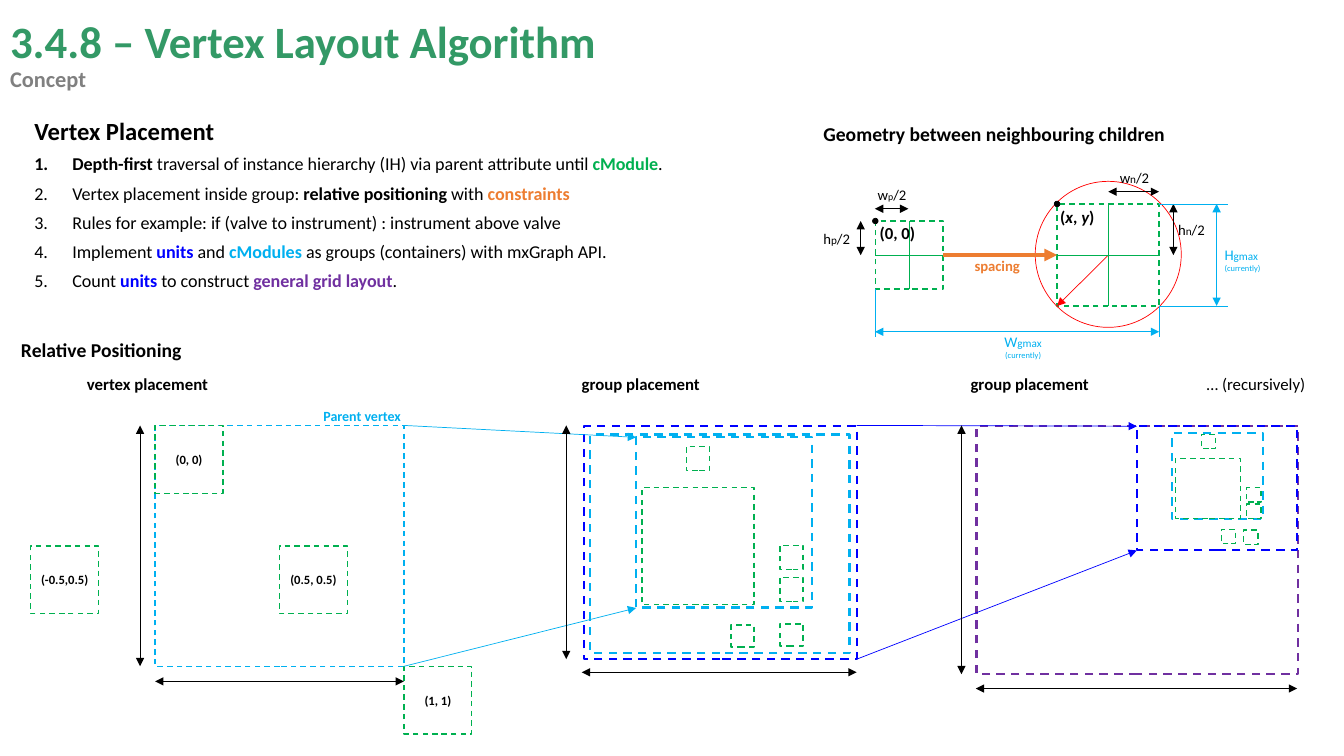
from pptx import Presentation
from pptx.dml.color import RGBColor
from pptx.enum.dml import MSO_LINE
from pptx.enum.shapes import MSO_CONNECTOR, MSO_SHAPE
from pptx.enum.text import MSO_ANCHOR, MSO_AUTO_SIZE, PP_ALIGN
from pptx.oxml.xmlchemy import OxmlElement
from pptx.util import Cm, Pt

COLOURS = {
    "black": "000000", "title": "339966", "grey": "808080", "green": "00B050",
    "orange": "ED7D31", "blue": "0000FF", "cyan": "00B0F0", "purple": "7030A0", "red": "FF0000",
}
RGB = {name: RGBColor.from_string(value) for name, value in COLOURS.items()}


def write(paragraph, runs, **base):
    """Add runs of (text, changes), each formatted as base plus its changes."""
    for text, changes in runs:
        run = paragraph.add_run()
        run.text = text
        for name, value in {"name": "Calibri", "color": "black", **base, **changes}.items():
            if name == "color":
                run.font.color.rgb = RGB[value]
            else:
                setattr(run.font, name, Pt(value) if name == "size" else value)


def outline(shapes, kind, box, colour, weight, dash=MSO_LINE.DASH):
    shape = shapes.add_shape(kind, *map(Cm, box))
    shape.shadow.inherit = False
    shape.fill.background()
    shape.line.color.rgb = RGB[colour]
    shape.line.width = Pt(weight)
    shape.line.dash_style = dash
    return shape


prs = Presentation()
prs.slide_width, prs.slide_height = Cm(33.87), Cm(19.05)
slide = prs.slides.add_slide(prs.slide_layouts[1])
shapes = slide.shapes
title, placement = shapes.title, slide.placeholders[1]
for holder, box, anchor in (
    (title, (0, 0.05, 33.87, 2.74), MSO_ANCHOR.MIDDLE),
    (placement, (0.61, 3, 17.73, 4.65), MSO_ANCHOR.TOP),
):
    holder.left, holder.top, holder.width, holder.height = map(Cm, box)
    holder.text_frame.auto_size = MSO_AUTO_SIZE.NONE
    holder.text_frame.vertical_anchor = anchor

# Title and list
heading = title.text_frame.paragraphs[0]
heading.alignment, heading.line_spacing = PP_ALIGN.LEFT, 0.9
write(heading, [("3.4.8 – Vertex Layout Algorithm", {})], size=32, bold=True, color="title")
heading.add_line_break()
write(heading, [("Concept", {})], size=16, bold=True, color="grey")

BOLD = {"bold": True}
UNITS = ("units", {"bold": True, "color": "blue"})
steps = [
    [("Vertex Placement", {"size": 17.6, "bold": True})],
    [("Depth-first", BOLD), (" traversal of instance hierarchy (IH) via parent attribute until ", {}),
     ("cModule", {"bold": True, "color": "green"}), (".", {})],
    [("Vertex placement inside group: ", {}), ("relative positioning ", BOLD), ("with ", {}),
     ("constraints", {"bold": True, "color": "orange"})],
    [("Rules for example: if (valve to instrument) : instrument above valve", {})],
    [("Implement ", {}), UNITS, (" and ", {}), ("cModules", {"bold": True, "color": "cyan"}),
     (" as groups (containers) with mxGraph API.", {})],
    [("Count ", {}), UNITS, (" to construct ", {}),
     ("general grid layout", {"bold": True, "color": "purple"}), (".", {})],
]
for number, runs in enumerate(steps):
    step = placement.text_frame.add_paragraph() if number else placement.text_frame.paragraphs[0]
    props = step._p.get_or_add_pPr()
    indent = Cm(0.96) if number else 0
    props.set("marL", str(indent))
    props.set("indent", str(-indent))
    bullet = OxmlElement("a:buAutoNum" if number else "a:buNone")
    if number:
        bullet.set("type", "arabicPeriod")
    props.append(bullet)
    step.alignment, step.line_spacing = PP_ALIGN.JUSTIFY, 0.7
    step.space_before = Pt(10 if number else 0)
    write(step, runs, size=12.9, bold=False)

# Section headings, with the column captions on tab stops
relative = shapes.add_textbox(Cm(0.28), Cm(8.46), Cm(33.58), Cm(2.03)).text_frame
relative.word_wrap = True
write(relative.paragraphs[0], [("Relative Positioning", {})], size=14, bold=True)
captions = relative.add_paragraph()
tabs = OxmlElement("a:tabLst")
for stop in (1.66, 14.13, 23.93, 29.88):
    tab = OxmlElement("a:tab")
    tab.set("pos", str(Cm(stop)))
    tab.set("algn", "l")
    tabs.append(tab)
captions._p.get_or_add_pPr().append(tabs)
captions.space_before = Pt(10)
write(captions, [("\tvertex placement\tgroup placement\tgroup placement", BOLD),
                 ("\t… (recursively)", {})], size=12)
for line in relative.paragraphs:
    line.line_spacing = 0.9

# Vertex placement: each vertex sits at a fraction of the parent's size
RECT, OVAL = MSO_SHAPE.RECTANGLE, MSO_SHAPE.OVAL
left, top, width, height = 3.91, 10.72, 6.27, 6.07
vertex_size = 1.71
outline(shapes, RECT, (left, top, width, height), "cyan", 1)
for label, x, y in (("(0, 0)", 0, 0), ("(-0.5,0.5)", -0.5, 0.5), ("(1, 1)", 1, 1), ("(0.5, 0.5)", 0.5, 0.5)):
    box = (left + x * width, top + y * height, vertex_size, vertex_size)
    frame = outline(shapes, RECT, box, "green", 1).text_frame
    frame.margin_left = frame.margin_right = 0
    frame.vertical_anchor = MSO_ANCHOR.MIDDLE
    frame.paragraphs[0].alignment = PP_ALIGN.CENTER
    write(frame.paragraphs[0], [(label, {})], size=9, bold=True)

# Group placement, then the same group nested one level up
containers = [
    (shapes, [("cyan", 16.03, 11.02, 4.44, 4.29), ("cyan", 14.88, 10.95, 6.53, 5.51),
              ("blue", 14.71, 10.74, 6.88, 5.87)],
     [(17.3, 11.25, 0.58, 0.61), (19.66, 14.55, 0.58, 0.61), (19.66, 13.74, 0.58, 0.61),
      (19.66, 15.72, 0.58, 0.56), (16.18, 12.29, 2.82, 2.95), (18.42, 15.75, 0.58, 0.56)]),
    (shapes.add_group_shape().shapes,
     [("purple", 24.61, 10.74, 8.1, 6.25), ("cyan", 29.54, 10.92, 2.29, 2.16),
      ("blue", 28.65, 10.74, 4.04, 3.12)],
     [(31.34, 13.36, 0.36, 0.36), (30.78, 13.34, 0.36, 0.36), (29.62, 11.56, 1.65, 1.5),
      (30.28, 10.95, 0.36, 0.36), (31.42, 12.7, 0.36, 0.36), (31.42, 12.29, 0.36, 0.36)]),
]
for parent, groups, vertices in containers:
    for colour, *box in groups:
        outline(parent, RECT, box, colour, 1.5)
    for box in vertices:
        outline(parent, RECT, box, "green", 1)

# Geometry between neighbours
previous = outline(shapes, RECT, (22.06, 5.57, 1.71, 1.71), "green", 1)
neighbour = outline(shapes, RECT, (26.64, 5.14, 2.57, 2.57), "green", 1)
outline(shapes, OVAL, (26.09, 4.57, 3.68, 3.68), "red", 0.5, MSO_LINE.SOLID)
for x, y in ((21.99, 5.5), (26.57, 5.07)):
    corner = outline(shapes, OVAL, (x, y, 0.14, 0.14), "black", 0.5, MSO_LINE.SOLID)
    corner.fill.solid()
    corner.fill.fore_color.rgb = RGB["black"]

# Lines: ends, colour, weight, arrowheads
BOTH, END = ("headEnd", "tailEnd"), ("tailEnd",)
dimensions = [
    (3.53, 10.72, 3.53, 16.79), (3.91, 17.17, 10.18, 17.17),
    (14.27, 10.72, 14.27, 16.61), (14.66, 16.94, 21.59, 16.94),
    (24.23, 10.72, 24.23, 16.99), (24.59, 17.35, 32.69, 17.35),
    (21.69, 5.57, 21.69, 6.43), (22.05, 5.26, 22.89, 5.26),
    (29.57, 5.14, 29.57, 6.43), (27.93, 4.83, 29.21, 4.83),
]
extensions = [
    (22.05, 7.28, 22.05, 8.48), (29.21, 7.71, 29.21, 8.48),
    (29.21, 7.71, 30.94, 7.71), (29.21, 5.14, 30.94, 5.14),
]
lines = [
    (10.18, 10.72, 16.03, 11.02, "cyan", 0.5, END),
    (10.18, 16.79, 16.03, 15.32, "cyan", 0.5, END),
    (21.59, 10.72, 28.65, 10.74, "blue", 0.5, END),
    (21.59, 16.61, 28.65, 13.87, "blue", 0.5, END),
    (27.93, 6.43, 26.64, 7.71, "red", 0.5, END),
    (30.66, 5.14, 30.66, 7.71, "cyan", 0.5, BOTH),
    (22.05, 8.36, 29.21, 8.36, "cyan", 0.5, BOTH),
]
lines += [(*ends, "black", 0.5, BOTH) for ends in dimensions]
lines += [(*ends, "cyan", 0.5, ()) for ends in extensions]
joins = [(previous, 3, neighbour, 1, "orange", 3, END)]
joins += [(box, start, box, end, "green", 0.5, ())
          for box in (previous, neighbour) for start, end in ((0, 2), (1, 3))]
for *ends, colour, weight, heads in lines + joins:
    if ends[0] in (previous, neighbour):
        connector = shapes.add_connector(MSO_CONNECTOR.STRAIGHT, 0, 0, 0, 0)
        connector.begin_connect(*ends[:2])
        connector.end_connect(*ends[2:])
    else:
        connector = shapes.add_connector(MSO_CONNECTOR.STRAIGHT, *map(Cm, ends))
    connector.line.color.rgb = RGB[colour]
    connector.line.width = Pt(weight)
    for head in heads:
        arrow = OxmlElement(f"a:{head}")
        arrow.set("type", "triangle")
        connector.line._get_or_add_ln().append(arrow)
    connector._element.spPr.append(OxmlElement("a:effectLst"))

# Labels: box, alignment, line spacing, base format, runs
LEFT, CENTRE = PP_ALIGN.LEFT, PP_ALIGN.CENTER
SMALL, TINY, ITALIC = {"size": 8}, {"size": 6}, {"italic": True}
half = {"size": 10.5}
extent = {"size": 10.5, "color": "cyan"}
point = {"size": 12, "bold": True}
labels = [
    ((20.5, 5.66, 1.3, 0.71), LEFT, 1, half, [("h", {}), ("p", SMALL), ("/2", {})]),
    ((21.87, 4.57, 1.32, 0.71), LEFT, 1, half, [("w", {}), ("p", {"size": 7}), ("/2", {})]),
    ((27.97, 4.14, 1.3, 0.71), LEFT, 1, half, [("w", {}), ("n", SMALL), ("/2", {})]),
    ((29.44, 5.44, 1.68, 0.71), LEFT, 1, half, [("h", {}), ("n", SMALL), ("/2", {})]),
    ((24.31, 6.35, 1.85, 0.71), LEFT, 1, {"size": 10.5, "bold": True, "color": "orange"}, [("spacing", {})]),
    ((21.92, 5.49, 1.93, 0.76), LEFT, 1, point, [("(0, 0)", {})]),
    ((26.47, 5.08, 1.93, 0.76), LEFT, 1, point,
     [("(", {}), ("x", ITALIC), (", ", {}), ("y", ITALIC), (")", {})]),
    ((30.61, 6.07, 1.75, 0.97), LEFT, 1, extent, [("H", {}), ("gmax ", SMALL), ("(currently)", TINY)]),
    ((24.92, 8.26, 1.73, 0.97), CENTRE, 1, extent, [("W", {}), ("gmax ", SMALL), ("(currently)", TINY)]),
    ((20.5, 3.02, 9.45, 0.97), LEFT, 0.9, {"size": 14, "bold": True},
     [("Geometry between neighbouring children", {})]),
    ((7.9, 10.19, 2.51, 0.74), LEFT, 0.9, {"size": 10, "bold": True, "color": "cyan"}, [("Parent vertex", {})]),
]
for box, alignment, spacing, base, runs in labels:
    frame = shapes.add_textbox(*map(Cm, box)).text_frame
    frame.word_wrap = True
    text = frame.paragraphs[0]
    text.alignment, text.line_spacing = alignment, spacing
    write(text, runs, **base)

prs.save("out.pptx")
